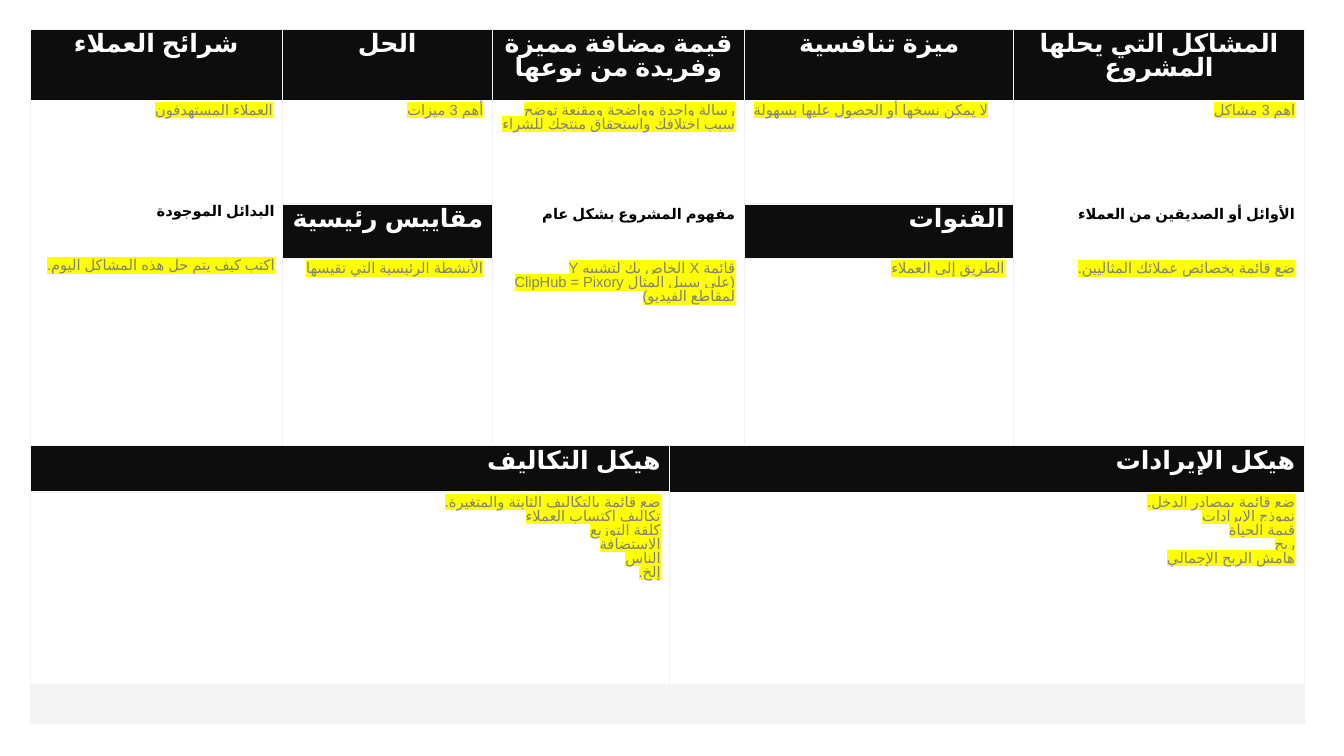
import dataclasses

import lxml.etree
import pptx
import pptx.dml.color
import pptx.enum.text
import pptx.oxml.ns
import pptx.util

Cm = pptx.util.Cm
Pt = pptx.util.Pt
RGBColor = pptx.dml.color.RGBColor
Align = pptx.enum.text.PP_ALIGN
qn = pptx.oxml.ns.qn


@dataclasses.dataclass(frozen=True)
class Theme:
    font: str = "Arial"
    language: str = "ar-SA"
    heading_size: float = 18
    body_size: float = 10.5
    line_spacing: float = 0.86
    border_width: float = 1
    black: str = "0D0D0D"
    white: str = "FFFFFF"
    label: str = "000000"
    hint: str = "808080"
    highlight: str = "FFFF00"
    border: str = "F2F2F2"
    footer: str = "F3F3F3"


THEME = Theme()
NO_TABLE_STYLE = "{2D5ABB26-0587-4C30-8999-92F81FD0307C}"
COLUMN_WIDTHS = (6.35, 5.3, 4.47, 1.88, 6.79, 7.32)
ROW_HEIGHTS = (1.78, 2.62, 1.37, 4.72, 1.17, 4.85, 0.99)
MARGINS = (0.23, 0.1, 0.23, 0.1)
TIGHT_MARGINS = (0.15, 0.03, 0.18, 0)

# Kind of cell: size, text colour, bold, highlight, fill
KINDS = {
    "heading": (THEME.heading_size, THEME.white, True, None, THEME.black),
    "label": (THEME.body_size, THEME.label, True, None, None),
    "hint": (THEME.body_size, THEME.hint, False, THEME.highlight, None),
    "footer": (THEME.body_size, THEME.label, False, None, THEME.footer),
}

# Upper blocks: first column, column span, then (kind, borders, lines) for each row
BLOCKS = (
    (0, 1, (
        ("heading", "LRT", ["شرائح العملاء"]),
        ("hint", "LR", ["العملاء المستهدفون"]),
        ("label", "LR", ["البدائل الموجودة"]),
        ("hint", "LRB", ["اكتب كيف يتم حل هذه المشاكل اليوم."]),
    )),
    (1, 1, (
        ("heading", "LRT", ["الحل"]),
        ("hint", "LRB", ["أهم 3 ميزات"]),
        ("heading", "LRT", ["مقاييس رئيسية"]),
        ("hint", "LRB", ["الأنشطة الرئيسية التي تقيسها"]),
    )),
    (2, 2, (
        ("heading", "LRT", ["قيمة مضافة مميزة وفريدة من نوعها"]),
        ("hint", "LR", ["رسالة واحدة وواضحة ومقنعة توضح سبب اختلافك واستحقاق منتجك للشراء"]),
        ("label", "LR", ["مفهوم المشروع بشكل عام"]),
        ("hint", "LRB", ["قائمة X الخاص بك لتشبيه Y",
                         "(على سبيل المثال ClipHub = Pixory لمقاطع الفيديو)"]),
    )),
    (4, 1, (
        ("heading", "LRT", ["ميزة تنافسية"]),
        ("hint", "LRB", ["لا يمكن نسخها أو الحصول عليها بسهولة"]),
        ("heading", "LRT", ["القنوات"]),
        ("hint", "LRB", ["الطريق إلى العملاء"]),
    )),
    (5, 1, (
        ("heading", "LRT", ["المشاكل التي يحلها المشروع"]),
        ("hint", "LR", ["اهم 3 مشاكل"]),
        ("label", "LR", ["الأوائل أو الصديقين من العملاء"]),
        ("hint", "LRB", ["ضع قائمة بخصائص عملائك المثاليين."]),
    )),
)

# Lower blocks: first column, heading borders, heading, list
FINANCES = (
    (0, "LRT", "هيكل التكاليف",
     ["ضع قائمة بالتكاليف الثابتة والمتغيرة.", "تكاليف اكتساب العملاء",
      "كلفة التوزيع", "الاستضافة", "الناس", "إلخ."]),
    (3, "LR", "هيكل الإيرادات",
     ["ضع قائمة بمصادر الدخل.", "نموذج الإيرادات", "قيمة الحياة", "ربح",
      "هامش الربح الإجمالي"]),
)


def add_colour(parent, tag, colour):
    """Add an element that holds one RGB colour."""
    element = lxml.etree.SubElement(parent, qn(tag))
    lxml.etree.SubElement(element, qn("a:srgbClr"), val=colour)
    return element


def add_borders(cell, sides):
    properties = cell._tc.get_or_add_tcPr()
    for side in sides:
        line = lxml.etree.SubElement(properties, qn("a:ln" + side),
                                     w=str(Pt(THEME.border_width)))
        add_colour(line, "a:solidFill", THEME.border)


def add_line(paragraph, text, kind, alignment):
    """Write one right-to-left paragraph as a single run."""
    size, colour, bold, highlight, _ = KINDS[kind]
    paragraph.alignment = alignment
    paragraph.line_spacing = THEME.line_spacing
    paragraph._p.get_or_add_pPr().set("rtl", "1")
    run = paragraph.add_run()
    run.text = text
    run.font.size = Pt(size)
    run.font.bold = bold
    run.font.name = THEME.font
    run.font.color.rgb = RGBColor.from_string(colour)
    properties = run._r.get_or_add_rPr()
    properties.set("lang", THEME.language)
    lxml.etree.SubElement(properties, qn("a:cs"), typeface=THEME.font)
    if highlight:
        mark = add_colour(properties, "a:highlight", highlight)
        properties.find(qn("a:solidFill")).addnext(mark)


def fill_cell(table, row, column, span, kind, sides, lines=(),
              alignment=Align.RIGHT, margins=MARGINS):
    cell = table.cell(row, column)
    if span > 1:
        cell.merge(table.cell(row, column + span - 1))
    add_borders(cell, sides)
    fill = KINDS[kind][-1]
    if fill:
        cell.fill.solid()
        cell.fill.fore_color.rgb = RGBColor.from_string(fill)
    else:
        cell.fill.background()
    cell.margin_left, cell.margin_top, cell.margin_right, cell.margin_bottom = map(Cm, margins)
    frame = cell.text_frame
    for index, text in enumerate(lines):
        paragraph = frame.add_paragraph() if index else frame.paragraphs[0]
        add_line(paragraph, text, kind, alignment)


def fill_blocks(table):
    """Upper region: five columns of headings and hints."""
    for column, span, cells in BLOCKS:
        for row, (kind, sides, lines) in enumerate(cells):
            alignment = Align.CENTER if row == 0 else Align.RIGHT
            if (row, column) == (1, 4):
                alignment = Align.LEFT
            margins = TIGHT_MARGINS if column == 0 and row > 1 else MARGINS
            fill_cell(table, row, column, span, kind, sides, lines, alignment, margins)


def fill_finances(table):
    """Lower region: costs, revenues and the closing band."""
    for column, sides, heading, items in FINANCES:
        fill_cell(table, 4, column, 3, "heading", sides, [heading])
        fill_cell(table, 5, column, 3, "hint", "LRB", items)
    fill_cell(table, 6, 0, len(COLUMN_WIDTHS), "footer", "LRTB")


def add_canvas(slide, left, top):
    """Place the table with its top left corner at the given point."""
    frame = slide.shapes.add_table(
        len(ROW_HEIGHTS), len(COLUMN_WIDTHS), Cm(left), Cm(top),
        Cm(sum(COLUMN_WIDTHS)), Cm(sum(ROW_HEIGHTS)))
    table = frame.table
    table.first_row = table.horz_banding = False
    table._tbl.tblPr.find(qn("a:tableStyleId")).text = NO_TABLE_STYLE
    for column, width in zip(table.columns, COLUMN_WIDTHS):
        column.width = Cm(width)
    for row, height in zip(table.rows, ROW_HEIGHTS):
        row.height = Cm(height)
    fill_blocks(table)
    fill_finances(table)


def main():
    presentation = pptx.Presentation()
    presentation.slide_width = Cm(33.87)
    presentation.slide_height = Cm(19.05)
    slide = presentation.slides.add_slide(presentation.slide_layouts[6])
    add_canvas(slide, 0.76, 0.74)
    presentation.save("out.pptx")


if __name__ == "__main__":
    main()
